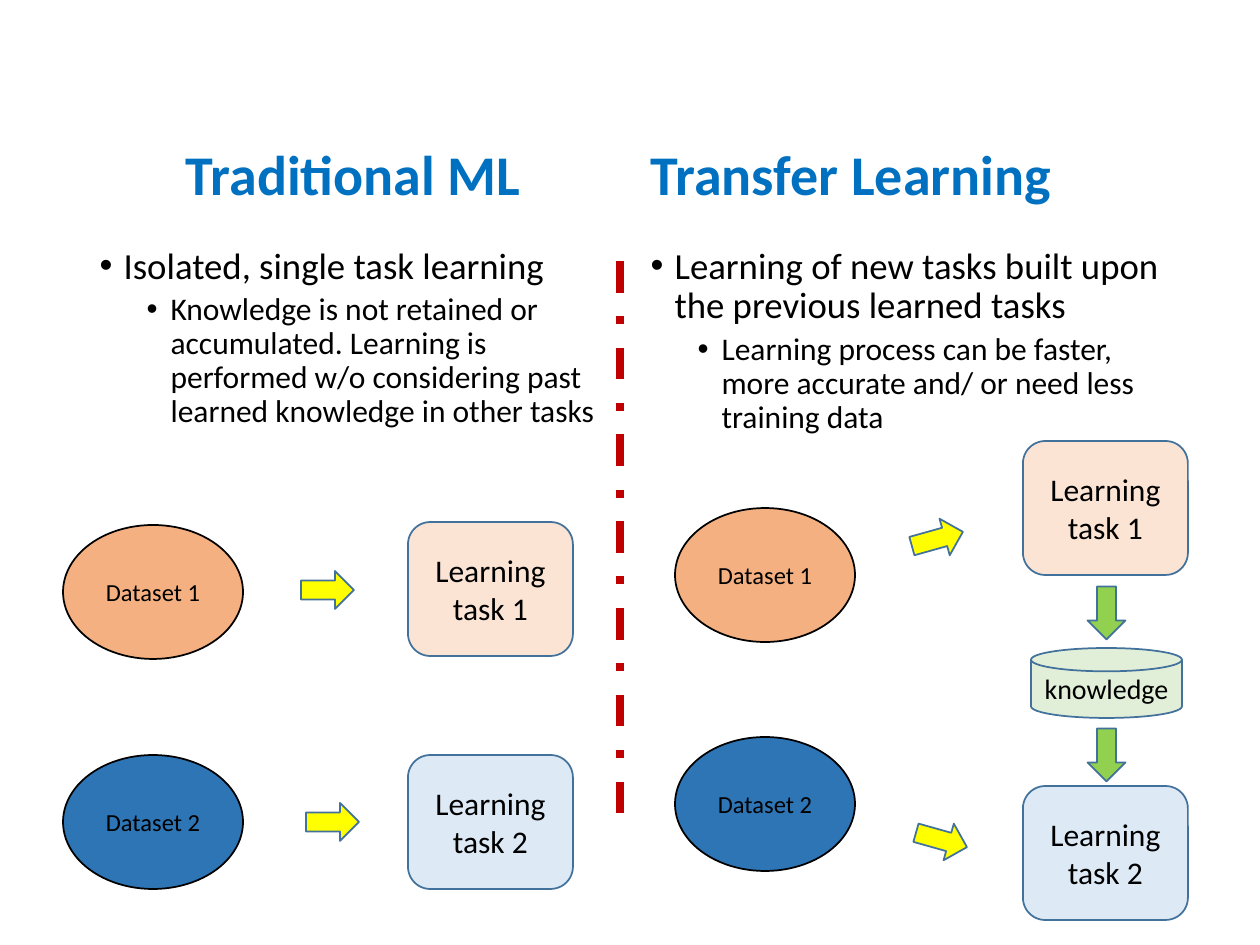
"""Build a slide comparing traditional machine learning with transfer learning."""
from lxml.etree import SubElement
from pptx import Presentation
from pptx.dml.color import RGBColor
from pptx.enum.dml import MSO_LINE_DASH_STYLE as Dash
from pptx.enum.shapes import MSO_CONNECTOR as Connector, MSO_SHAPE as Shape
from pptx.enum.text import MSO_ANCHOR as Anchor, MSO_AUTO_SIZE as AutoSize, PP_ALIGN as Align
from pptx.oxml.ns import qn
from pptx.util import Emu, Pt

SCALE = 914400 / 126
COLORS = {
    "heading": "0070C0", "text": "000000", "outline": "42719B", "divider": "C00000",
    "dataset 1": "F4B081", "dataset 2": "2E75B5", "task 1": "FBE4D4", "task 2": "DDEAF6",
    "knowledge": "E1EFD8", "apply": "FFFF00", "transfer": "92D050",
}


def px(length):
    return Emu(round(length * SCALE))


def add_text(para, text, size, color="text", bold=False):
    span = para.add_run()
    span.text = text
    for name, value in {"name": "Calibri", "size": Pt(size), "bold": bold}.items():
        setattr(span.font, name, value)
    span.font.color.rgb = RGBColor.from_string(COLORS[color])


deck = Presentation()
deck.slide_width, deck.slide_height = px(1260), px(945)
page = deck.slides.add_slide(deck.slide_layouts[4])
title = page.shapes.title.element
title.getparent().remove(title)

columns = [
    (1, 87, 533, Align.CENTER, "Traditional ML", "Isolated, single task learning",
     "Knowledge is not retained or accumulated. Learning is performed w/o considering past "
     "learned knowledge in other tasks"),
    (3, 638, 535, Align.LEFT, "Transfer Learning",
     "Learning of new tasks built upon the previous learned tasks",
     "Learning process can be faster, more accurate and/ or need less training data"),
]
for index, left, width, align, heading, point, detail in columns:
    heading_box, list_box = page.placeholders[index], page.placeholders[index + 1]
    for box, top, height, anchor in [(heading_box, 101, 113, Anchor.BOTTOM),
                                     (list_box, 241, 611, Anchor.TOP)]:
        frame = {"left": left, "top": top, "width": width, "height": height}
        for name, value in frame.items():
            setattr(box, name, px(value))
        box.text_frame.auto_size = AutoSize.NONE
        box.text_frame.vertical_anchor = anchor

    para = heading_box.text_frame.paragraphs[0]
    for name, value in {"alignment": align, "line_spacing": 0.9, "space_before": Pt(0)}.items():
        setattr(para, name, value)
    add_text(para, heading, 32, "heading", True)

    for level, (text, size, indent, gap) in enumerate([(point, 21, 24, 0), (detail, 18, 71, 3.8)]):
        para = list_box.text_frame.add_paragraph() if level else list_box.text_frame.paragraphs[0]
        for name, value in {"level": level, "line_spacing": 0.9, "space_before": Pt(gap)}.items():
            setattr(para, name, value)
        properties = para._p.get_or_add_pPr()
        properties.set("marL", str(px(indent)))
        properties.set("indent", str(px(-24)))
        bullet_color = SubElement(properties, qn("a:buClr"))
        SubElement(bullet_color, qn("a:srgbClr"), val=COLORS["text"])
        SubElement(properties, qn("a:buChar"), char="•")
        add_text(para, text, size)

nodes = [(Shape.CAN, 1031, 648, 151, 70, "knowledge", "outline", "knowledge", 16)]
for dataset_left, dataset_tops, task_left, task_tops in [(63, (525, 755), 408, (522, 755)),
                                                         (675, (508, 737), 1023, (441, 786))]:
    for number, dataset_top, task_top in zip((1, 2), dataset_tops, task_tops):
        nodes += [
            (Shape.OVAL, dataset_left, dataset_top, 180, 134,
             f"dataset {number}", "text", f"Dataset {number}", 14),
            (Shape.ROUNDED_RECTANGLE, task_left, task_top, 165, 134,
             f"task {number}", "outline", f"Learning task {number}", 18),
        ]
nodes[0] = (Shape.FLOWCHART_MAGNETIC_DISK, *nodes[0][1:])

arrows = [
    (301, 571, 0, "apply"), (306, 803, 0, "apply"),
    (911, 520, 344.4, "apply"), (915, 821, 15.7, "apply"),
    (1080, 594, 90, "transfer"), (1080, 736, 90, "transfer"),
]
nodes += [(Shape.RIGHT_ARROW, left, top, 53, 38, fill, "outline", "", 0, turn)
          for left, top, turn, fill in arrows]

for kind, left, top, width, height, fill, outline, label, size, *turn in nodes:
    node = page.shapes.add_shape(kind, px(left), px(top), px(width), px(height))
    node.shadow.inherit = False
    node.rotation = turn[0] if turn else 0
    node.fill.solid()
    node.fill.fore_color.rgb = RGBColor.from_string(COLORS[fill])
    node.line.color.rgb = RGBColor.from_string(COLORS[outline])
    node.line.width = Pt(1)
    if label:
        node.text_frame.word_wrap = True
        node.text_frame.vertical_anchor = Anchor.MIDDLE
        para = node.text_frame.paragraphs[0]
        para.alignment = Align.CENTER
        add_text(para, label, size)

divider = page.shapes.add_connector(Connector.STRAIGHT, px(620), px(261), px(620), px(813))
SubElement(divider.element.spPr, qn("a:effectLst"))
divider.line.color.rgb = RGBColor.from_string(COLORS["divider"])
divider.line.width = Pt(4.5)
divider.line.dash_style = Dash.DASH_DOT

deck.save("out.pptx")
